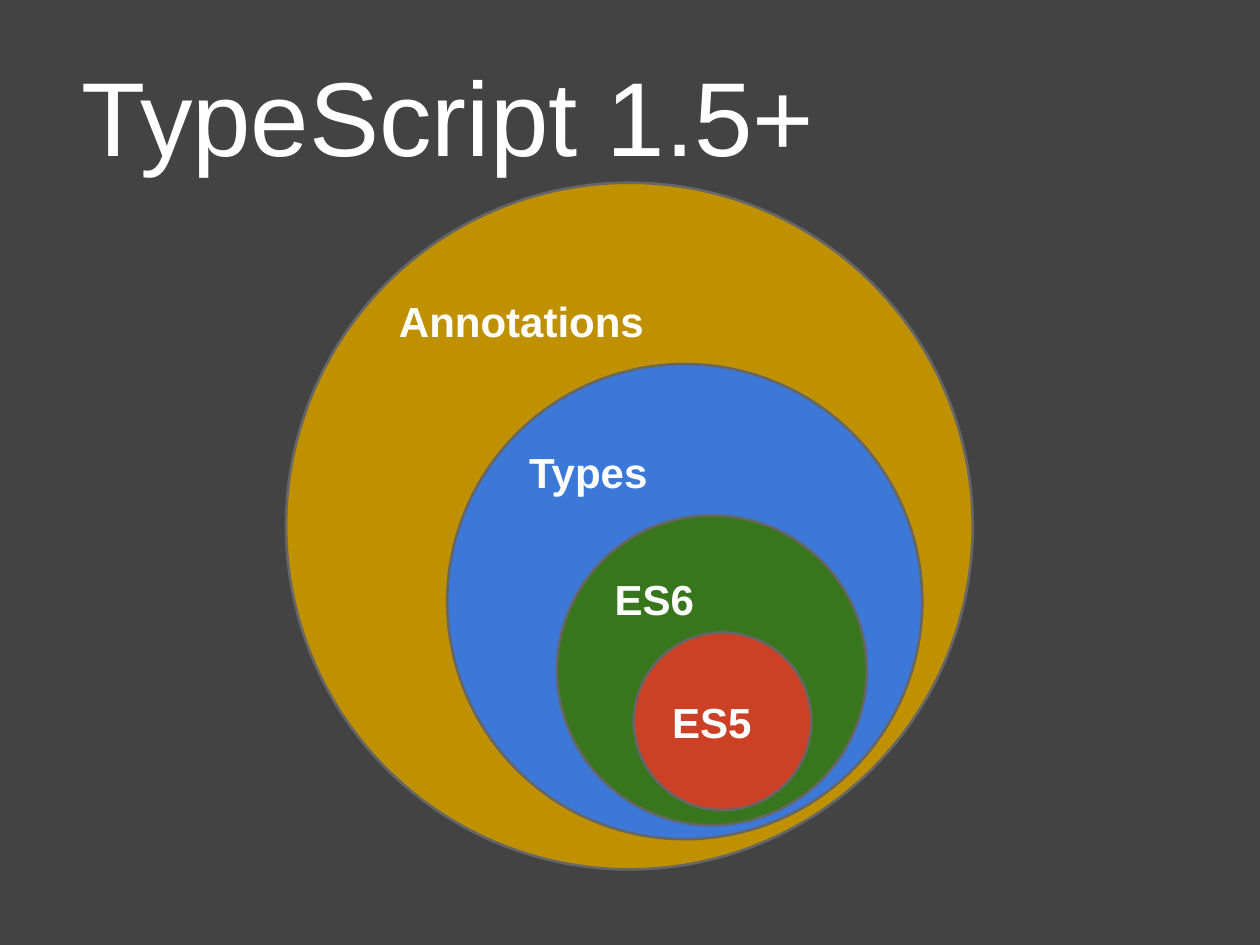
from pptx import Presentation
from pptx.dml.color import RGBColor
from pptx.enum import shapes, text
from pptx.util import Inches, Pt

WHITE = RGBColor(0xFF, 0xFF, 0xFF)
DARK = RGBColor(0x43, 0x43, 0x43)
GREY = RGBColor(0x66, 0x66, 0x66)
GOLD = RGBColor(0xBF, 0x90, 0x00)
BLUE = RGBColor(0x3C, 0x78, 0xD8)
GREEN = RGBColor(0x38, 0x76, 0x1D)
RED = RGBColor(0xCC, 0x41, 0x25)

TOP, MID = text.MSO_ANCHOR.TOP, text.MSO_ANCHOR.MIDDLE
TITLE = "TypeScript 1.5+"
RINGS = [
    ("Annotations", 2.27, 1.45, 5.45, GOLD, TOP),
    ("Types", 3.55, 2.89, 3.77, BLUE, TOP),
    ("ES6", 4.42, 4.09, 2.46, GREEN, TOP),
    ("ES5", 5.03, 5.02, 1.41, RED, MID),
]


def write(shape, words, size, bold, anchor):
    frame = shape.text_frame
    frame.word_wrap = True
    frame.vertical_anchor = anchor
    frame.margin_left = frame.margin_right = Inches(0.1)
    frame.margin_top = frame.margin_bottom = Inches(0.1)
    para = frame.paragraphs[0]
    para.text = words
    para.alignment = text.PP_ALIGN.LEFT
    font = para.font
    font.name, font.size, font.bold = "Arial", Pt(size), bold
    font.color.rgb = WHITE


deck = Presentation()
deck.slide_width, deck.slide_height = Inches(10), Inches(7.5)
slide = deck.slides.add_slide(deck.slide_layouts[6])
slide.background.fill.solid()
slide.background.fill.fore_color.rgb = DARK

group = slide.shapes.add_group_shape()
for label, left, top, width, color, anchor in RINGS:
    ring = group.shapes.add_shape(
        shapes.MSO_SHAPE.FLOWCHART_CONNECTOR,
        Inches(left), Inches(top), Inches(width), Inches(width))
    ring.shadow.inherit = False
    ring.fill.solid()
    ring.fill.fore_color.rgb = color
    ring.line.color.rgb = GREY
    ring.line.width = Pt(1.5)
    write(ring, label, 24, True, anchor)

title = slide.shapes.add_textbox(
    Inches(0.55), Inches(0.37), Inches(7.42), Inches(1.07))
write(title, TITLE, 60, False, MID)

deck.save("out.pptx")
